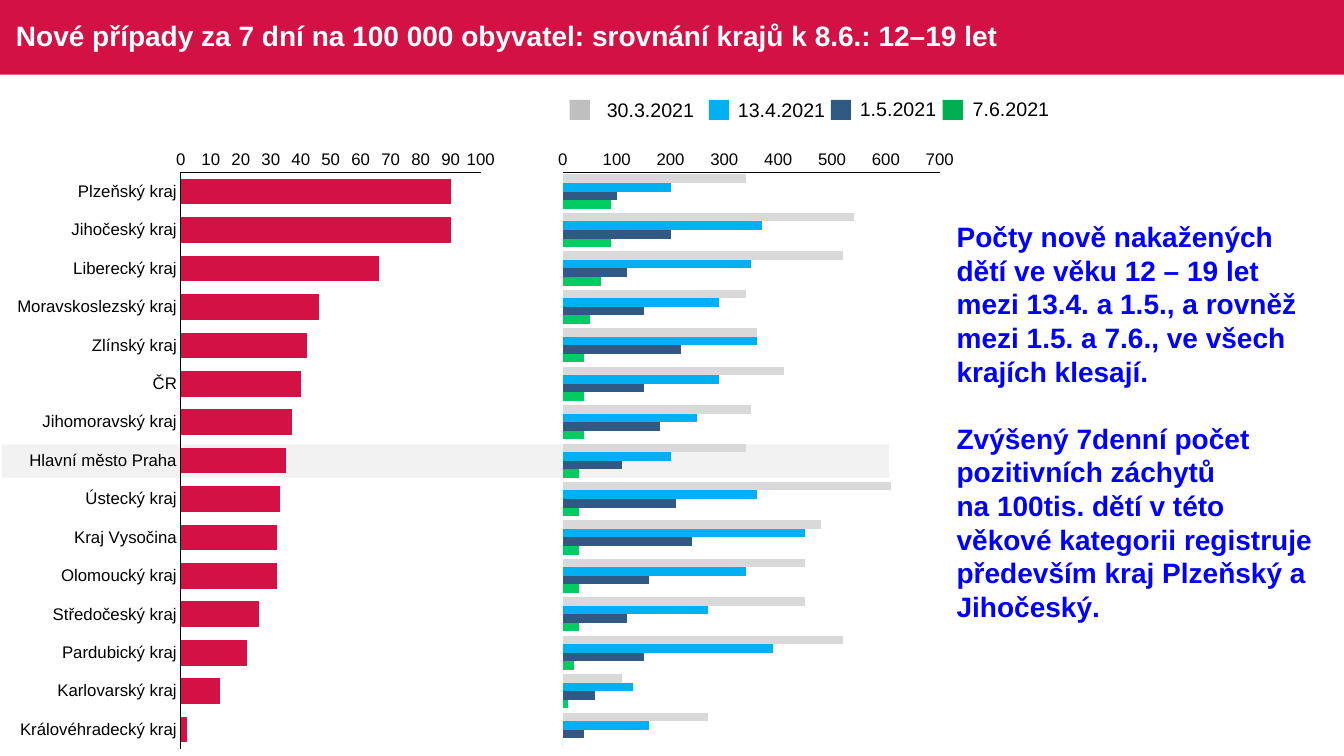
"""Build a slide comparing new weekly cases in Czech regions, ages 12–19."""
from dataclasses import dataclass

from lxml import etree
from pptx import Presentation
from pptx.chart.data import CategoryChartData
from pptx.dml.color import RGBColor
from pptx.enum.chart import XL_CHART_TYPE, XL_TICK_MARK
from pptx.enum.shapes import MSO_SHAPE
from pptx.enum.text import MSO_ANCHOR
from pptx.oxml.ns import qn
from pptx.util import Inches, Pt

BAR = XL_CHART_TYPE.BAR_CLUSTERED
NO_TICK = XL_TICK_MARK.NONE
RECT = MSO_SHAPE.RECTANGLE
TOP, MIDDLE = MSO_ANCHOR.TOP, MSO_ANCHOR.MIDDLE

CRIMSON = RGBColor(0xD3, 0x11, 0x45)
BAND = RGBColor(0xF2, 0xF2, 0xF2)
WHITE = RGBColor(0xFF, 0xFF, 0xFF)
BLACK = RGBColor(0x00, 0x00, 0x00)
BLUE = RGBColor(0x00, 0x00, 0xFF)
SILVER = RGBColor(0xD9, 0xD9, 0xD9)
GREY = RGBColor(0xBF, 0xBF, 0xBF)
SKY = RGBColor(0x00, 0xB0, 0xF0)
NAVY = RGBColor(0x30, 0x59, 0x83)
MINT = RGBColor(0x00, 0xCD, 0x61)
GREEN = RGBColor(0x00, 0xB0, 0x50)

WIDTH, HEIGHT = Inches(13.33), Inches(7.5)
COL, ROW = WIDTH / 100, HEIGHT / 100
HEADER_ROWS = 9.87


@dataclass
class Box:
    """A place on the slide in columns and rows of a 100 by 100 grid."""
    col: float
    row: float
    cols: float
    rows: float

    def emu(self) -> tuple:
        return (round(self.col * COL), round(self.row * ROW),
                round(self.cols * COL), round(self.rows * ROW))


@dataclass
class Series:
    name: str
    color: RGBColor
    values: tuple


@dataclass
class BarChart:
    box: Box
    categories: tuple
    series: tuple
    maximum: int
    step: int
    plot: dict
    show_categories: bool


@dataclass
class LegendItem:
    label: str
    color: RGBColor
    swatch_col: float
    label_col: float
    label_row: float
    label_cols: float


REGIONS = ("Plzeňský kraj", "Jihočeský kraj", "Liberecký kraj", "Moravskoslezský kraj",
           "Zlínský kraj", "ČR", "Jihomoravský kraj", "Hlavní město Praha", "Ústecký kraj",
           "Kraj Vysočina", "Olomoucký kraj", "Středočeský kraj", "Pardubický kraj",
           "Karlovarský kraj", "Královéhradecký kraj")

CHARTS = (
    BarChart(Box(0.6, 18.27, 37.06, 82.53), REGIONS, (
        Series("7.6.2021", CRIMSON, (90, 90, 66, 46, 42, 40, 37, 35, 33, 32, 32, 26, 22, 13, 2)),
    ), 100, 10, {"x": 0.347, "y": 0.055, "w": 0.602, "h": 0.924}, True),
    BarChart(Box(40.96, 18.27, 30.68, 82.53), tuple(str(n + 1) for n in range(len(REGIONS))), (
        Series("30.3.2021", SILVER,
               (340, 540, 520, 340, 360, 410, 350, 340, 610, 480, 450, 450, 520, 110, 270)),
        Series("13.4.2021", SKY,
               (200, 370, 350, 290, 360, 290, 250, 200, 360, 450, 340, 270, 390, 130, 160)),
        Series("1.5.2021", NAVY,
               (100, 200, 120, 150, 220, 150, 180, 110, 210, 240, 160, 120, 150, 60, 40)),
        Series("7.6.2021", MINT, (90, 90, 70, 50, 40, 40, 40, 30, 30, 30, 30, 30, 20, 10, 0)),
    ), 700, 100, {"x": 0.03, "y": 0.055, "w": 0.914, "h": 0.924}, False),
)

LEGEND = (
    LegendItem("30.3.2021", GREY, 42.39, 44.41, 12.27, 8.03),
    LegendItem("13.4.2021", SKY, 52.74, 54.16, 12.27, 8.03),
    LegendItem("1.5.2021", NAVY, 61.82, 63.24, 12.13, 7.2),
    LegendItem("7.6.2021", GREEN, 70.14, 71.64, 12.13, 7.2),
)

TITLE = "Nové případy za 7 dní na 100 000 obyvatel: srovnání krajů k 8.6.: 12–19 let"
NOTES = (
    "Počty nově nakažených dětí ve věku 12 – 19 let mezi 13.4. a 1.5., a rovněž "
    "mezi 1.5. a 7.6., ve všech krajích klesají.",
    "Zvýšený 7denní počet pozitivních záchytů \vna 100tis. dětí v této věkové kategorii "
    "registruje především kraj Plzeňský a Jihočeský.",
)


def set_font(font, size: float, color: RGBColor, bold: bool = False) -> None:
    for name, value in {"name": "Arial", "size": Pt(size), "bold": bold}.items():
        setattr(font, name, value)
    font.color.rgb = color


def add_rect(shapes, box: Box, color: RGBColor) -> None:
    s = shapes.add_shape(RECT, *box.emu())
    s.shadow.inherit = False
    s.fill.solid()
    s.fill.fore_color.rgb = color
    s.line.fill.background()


def add_text(shapes, box: Box, texts: tuple, size: float, color: RGBColor, bold: bool = False,
             wrap: bool = True, anchor: MSO_ANCHOR = TOP, gap: float = 0,
             spacing: float = 1.0) -> None:
    tf = shapes.add_textbox(*box.emu()).text_frame
    for name, value in {"word_wrap": wrap, "vertical_anchor": anchor}.items():
        setattr(tf, name, value)
    for i, text in enumerate(texts):
        p = tf.add_paragraph() if i else tf.paragraphs[0]
        p.text = text
        p.line_spacing = spacing
        if i:
            p.space_before = Pt(gap)
        for r in p.runs:
            set_font(r.font, size, color, bold)


def place_plot(chart, plot: dict) -> None:
    area = chart._chartSpace.chart.plotArea
    for old in area.findall(qn("c:layout")):
        area.remove(old)
    layout = etree.Element(qn("c:layout"))
    manual = etree.SubElement(layout, qn("c:manualLayout"))
    values = {"layoutTarget": "inner", "xMode": "edge", "yMode": "edge", **plot}
    for tag, value in values.items():
        etree.SubElement(manual, qn(f"c:{tag}")).set("val", str(value))
    area.insert(0, layout)


def format_axis(axis, settings: dict) -> None:
    common = {"has_major_gridlines": False, "major_tick_mark": NO_TICK, "minor_tick_mark": NO_TICK}
    for name, value in {**common, **settings}.items():
        setattr(axis, name, value)
    set_font(axis.tick_labels.font, 12, BLACK)
    axis.format.line.color.rgb = BLACK
    axis.format.line.width = Pt(0.75)


def add_bars(shapes, spec: BarChart) -> None:
    data = CategoryChartData()
    data.categories = spec.categories
    for series in spec.series:
        data.add_series(series.name, series.values)
    chart = shapes.add_chart(BAR, *spec.box.emu(), data).chart
    chart.has_legend = chart.has_title = False
    set_font(chart.font, 10, BLACK)
    format_axis(chart.category_axis, {"reverse_order": True, "visible": spec.show_categories})
    format_axis(chart.value_axis, {"minimum_scale": 0, "maximum_scale": spec.maximum,
                                   "major_unit": spec.step})
    plot = chart.plots[0]
    for name, value in {"gap_width": 50, "overlap": 0, "vary_by_categories": False}.items():
        setattr(plot, name, value)
    for drawn, series in zip(plot.series, spec.series):
        drawn.format.fill.solid()
        drawn.format.fill.fore_color.rgb = series.color
    place_plot(chart, spec.plot)


def main() -> None:
    prs = Presentation()
    prs.slide_width, prs.slide_height = WIDTH, HEIGHT
    shapes = prs.slides.add_slide(prs.slide_layouts[6]).shapes
    add_rect(shapes, Box(0, 0, 100, HEADER_ROWS), CRIMSON)
    add_rect(shapes, Box(0.15, 58.8, 66, 4.4), BAND)
    add_text(shapes, Box(0.45, 0, 90.1, HEADER_ROWS), (TITLE,), 20, WHITE, True,
             anchor=MIDDLE, spacing=0.9)
    for spec in CHARTS:
        add_bars(shapes, spec)
    for item in LEGEND:
        add_rect(shapes, Box(item.swatch_col, 13.2, 1.5, 2.67), item.color)
        add_text(shapes, Box(item.label_col, item.label_row, item.label_cols, 4.53),
                 (item.label,), 14, BLACK, wrap=False)
    add_text(shapes, Box(70.44, 28.4, 28.13, 55.2), NOTES, 20, BLUE, True, gap=24)
    prs.save("out.pptx")


if __name__ == "__main__":
    main()
